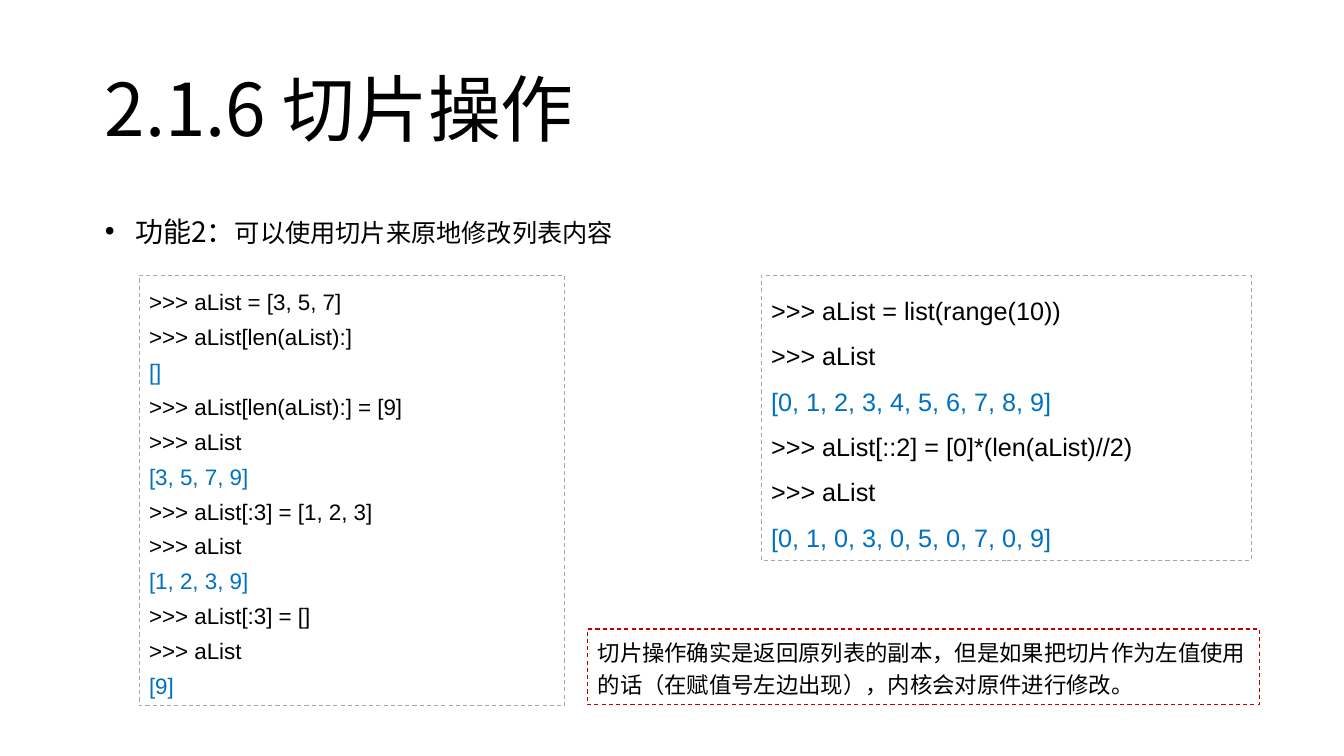
from lxml import etree
from pptx import Presentation
from pptx.dml.color import RGBColor
from pptx.enum.dml import MSO_LINE
from pptx.enum.shapes import MSO_SHAPE
from pptx.enum.text import MSO_ANCHOR, MSO_AUTO_SIZE, PP_ALIGN
from pptx.oxml.ns import qn
from pptx.util import Inches, Pt

RECT, DASH = MSO_SHAPE.RECTANGLE, MSO_LINE.DASH
TOP, MIDDLE, LEFT = MSO_ANCHOR.TOP, MSO_ANCHOR.MIDDLE, PP_ALIGN.LEFT
NO_FIT, GROW = MSO_AUTO_SIZE.NONE, MSO_AUTO_SIZE.SHAPE_TO_FIT_TEXT

COLORS = {"text": "000000", "output": "0070C0", "code_line": "A6A6A6", "note_line": "C00000"}
LATIN, CJK = "Arial", "Noto Sans CJK SC"

TITLE = "2.1.6 切片操作"
BULLET = [("功能2：", 20), ("可以使用切片来原地修改列表内容", 18)]
RANGE_CODE = [
    ">>> aList = list(range(10))",
    ">>> aList",
    "[0, 1, 2, 3, 4, 5, 6, 7, 8, 9]",
    ">>> aList[::2] = [0]*(len(aList)//2)",
    ">>> aList",
    "[0, 1, 0, 3, 0, 5, 0, 7, 0, 9]",
]
EDIT_CODE = [
    ">>> aList = [3, 5, 7]",
    ">>> aList[len(aList):]",
    "[]",
    ">>> aList[len(aList):] = [9]",
    ">>> aList",
    "[3, 5, 7, 9]",
    ">>> aList[:3] = [1, 2, 3]",
    ">>> aList",
    "[1, 2, 3, 9]",
    ">>> aList[:3] = []",
    ">>> aList",
    "[9]",
]
NOTE = ["切片操作确实是返回原列表的副本，但是如果把切片作为左值使用的话"
        "（在赋值号左边出现），内核会对原件进行修改。"]

MARGIN, CONTENT_W, CODE_TOP = 0.92, 11.5, 2.73
# box, lines, size, line spacing, space after, outline
PANELS = [
    ((7.55, CODE_TOP, 4.86, 2.83), RANGE_CODE, 18, 1.5, 0, "code_line"),
    ((1.38, CODE_TOP, 4.22, 4.27), EDIT_CODE, 16, 1.3, 0, "code_line"),
    ((5.83, 6.24, 6.66, 0.75), NOTE, 16, 1.2, 6, "note_line"),
]


def rgb(name):
    return RGBColor.from_string(COLORS[name])


def add_run(p, text, size, font, color="text"):
    r = p.add_run()
    r.text = text
    r.font.size, r.font.name = Pt(size), font
    r.font.color.rgb = rgb(color)
    ea = etree.SubElement(r.font._element, qn("a:ea"))
    ea.set("typeface", CJK)


def set_frame(tf, anchor, fit, inset_x=0.1, inset_y=0.05):
    tf.word_wrap, tf.vertical_anchor, tf.auto_size = True, anchor, fit
    tf.margin_left = tf.margin_right = Inches(inset_x)
    tf.margin_top = tf.margin_bottom = Inches(inset_y)


def set_paragraph(p, spacing, after=0):
    p.alignment, p.line_spacing = LEFT, spacing
    p.space_before, p.space_after = Pt(0), Pt(after)


def add_title(slide):
    sp = slide.shapes.title
    sp.left, sp.top, sp.width, sp.height = map(Inches, (MARGIN, 0.4, CONTENT_W, 1.45))
    set_frame(sp.text_frame, MIDDLE, NO_FIT, 0.12, 0.06)
    p = sp.text_frame.paragraphs[0]
    set_paragraph(p, 0.9)
    add_run(p, TITLE, 52, CJK)


def add_bullet(slide):
    sp = slide.shapes.add_textbox(*map(Inches, (MARGIN, 2, CONTENT_W, 4.76)))
    set_frame(sp.text_frame, TOP, NO_FIT, 0.12, 0.06)
    p = sp.text_frame.paragraphs[0]
    set_paragraph(p, 1.2)
    pPr = p._p.get_or_add_pPr()
    pPr.set("marL", str(Inches(0.3)))
    pPr.set("indent", str(Inches(-0.3)))
    etree.SubElement(pPr, qn("a:buFont")).set("typeface", LATIN)
    etree.SubElement(pPr, qn("a:buChar")).set("char", "•")
    for text, size in BULLET:
        add_run(p, text, size, CJK)


def add_panel(slide, box, lines, size, spacing, after, outline):
    sp = slide.shapes.add_shape(RECT, *map(Inches, box))
    sp.shadow.inherit = False
    sp.fill.background()
    sp.line.color.rgb = rgb(outline)
    sp.line.width, sp.line.dash_style = Pt(0.75), DASH
    tf = sp.text_frame
    set_frame(tf, TOP, GROW)
    for i, line in enumerate(lines):
        p = tf.add_paragraph() if i else tf.paragraphs[0]
        set_paragraph(p, spacing, after)
        add_run(p, line, size, LATIN, "output" if line.startswith("[") else "text")


def main():
    prs = Presentation()
    prs.slide_width, prs.slide_height = Inches(13.33), Inches(7.5)
    slide = prs.slides.add_slide(prs.slide_layouts[5])
    add_title(slide)
    add_bullet(slide)
    for panel in PANELS:
        add_panel(slide, *panel)
    prs.save("out.pptx")


if __name__ == "__main__":
    main()
